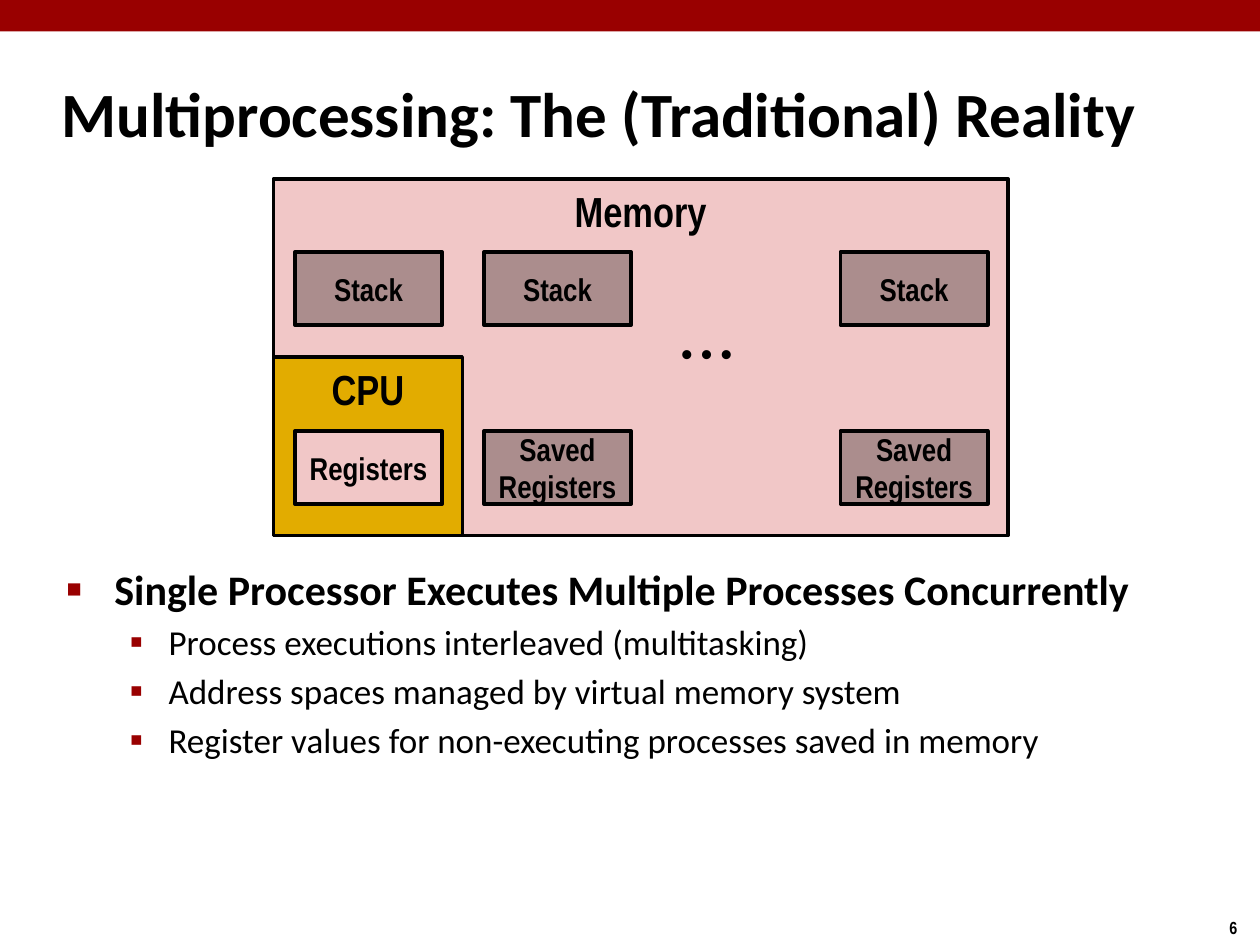
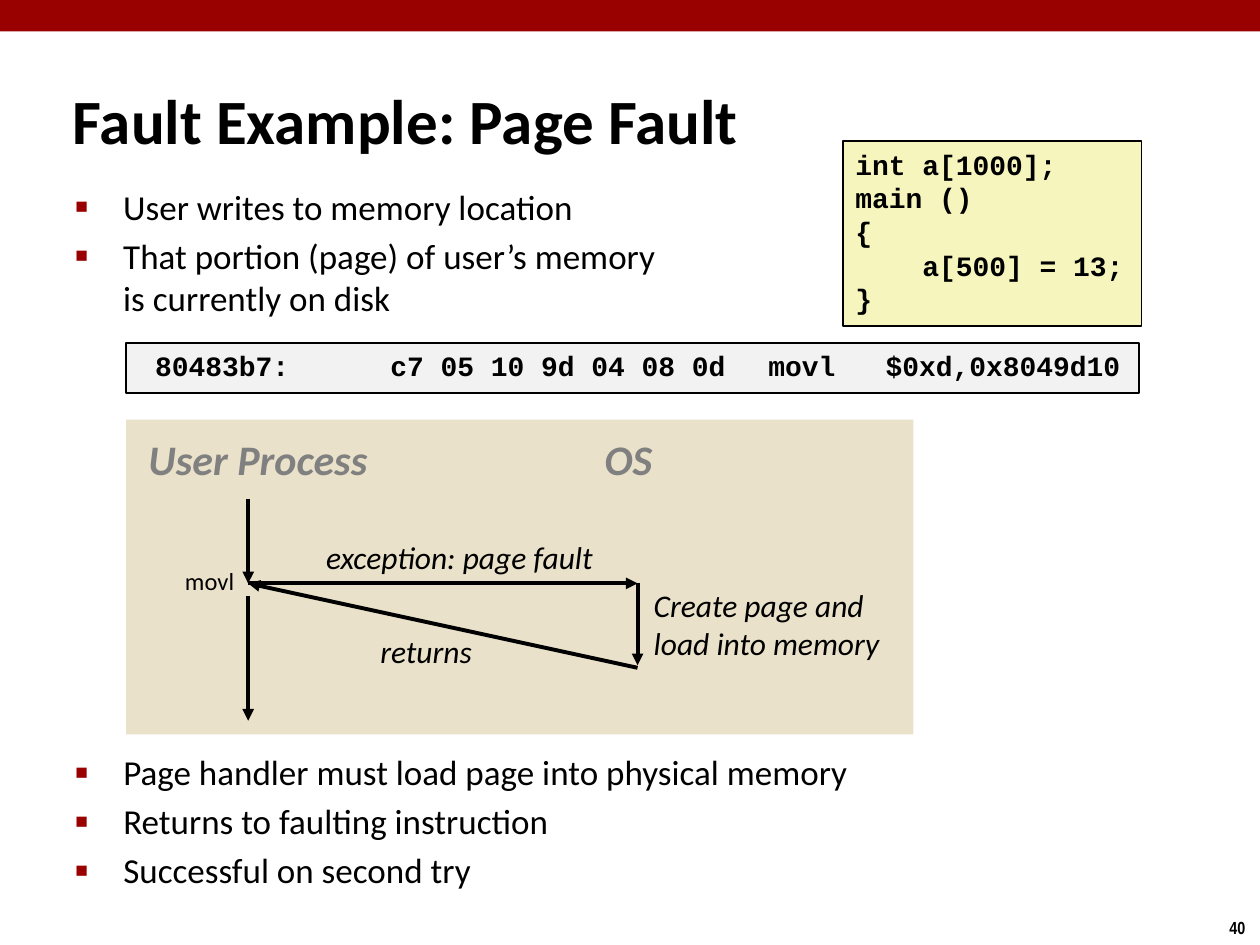
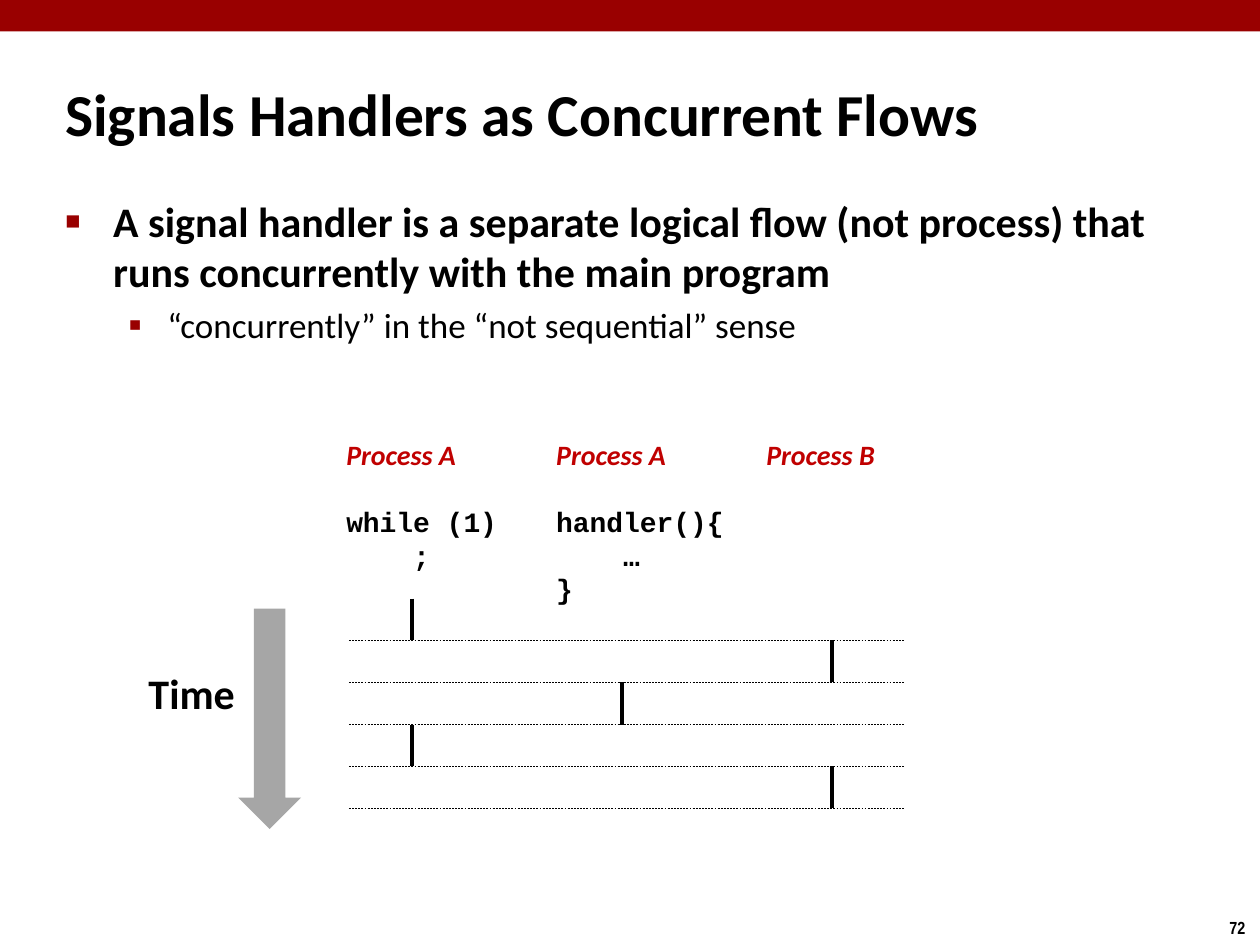
from dataclasses import dataclass

from lxml import etree
from pptx import Presentation
from pptx.dml.color import RGBColor
from pptx.enum.dml import MSO_LINE
from pptx.enum.shapes import MSO_CONNECTOR, MSO_SHAPE
from pptx.enum.text import MSO_ANCHOR, MSO_AUTO_SIZE, PP_ALIGN
from pptx.oxml.ns import qn
from pptx.util import Inches, Pt

RECTANGLE = MSO_SHAPE.RECTANGLE
DOWN_ARROW = MSO_SHAPE.DOWN_ARROW
STRAIGHT = MSO_CONNECTOR.STRAIGHT
DASH = MSO_LINE.DASH
TOP, MIDDLE = MSO_ANCHOR.TOP, MSO_ANCHOR.MIDDLE
LEFT, CENTER = PP_ALIGN.LEFT, PP_ALIGN.CENTER
FIT_TEXT = MSO_AUTO_SIZE.SHAPE_TO_FIT_TEXT


@dataclass(frozen=True)
class Style:
    size: float
    font: str = "Calibri"
    color: str = "000000"
    bold: bool = False
    italic: bool = False


@dataclass(frozen=True)
class Theme:
    band: str = "990000"
    ink: str = "000000"
    memory: str = "F1C7C7"
    saved: str = "AB8D8D"
    cpu: str = "E2AC00"
    source_code: str = "F6F5BD"
    machine_code: str = "F2F2F2"
    panel: str = "E9E1C9"
    time_arrow: str = "A6A6A6"
    title: Style = Style(36, bold=True)
    long_title: Style = Style(34, bold=True)
    number: Style = Style(10, "Arial Narrow", bold=True)
    point: Style = Style(24, bold=True)
    detail: Style = Style(20)
    region: Style = Style(24, "Arial Narrow", bold=True)
    cell: Style = Style(18, "Arial Narrow", bold=True)
    dots: Style = Style(18, "Arial", bold=True)
    code: Style = Style(16, "Courier New", bold=True)
    lane: Style = Style(24, color="808080", bold=True, italic=True)
    event: Style = Style(18, italic=True)
    instruction: Style = Style(14)
    process: Style = Style(16, color="C00000", bold=True, italic=True)


@dataclass(frozen=True)
class Box:
    left: float
    top: float
    width: float
    height: float

    def inside(self, left, top, width, height):
        return Box(self.left + left, self.top + top, width, height)

    def point(self, across, down):
        return self.left + across, self.top + down

    def lengths(self):
        return [Inches(n) for n in (self.left, self.top, self.width, self.height)]


THEME = Theme()
BULLETS = (("■", 60, 0.38, 0.38), ("▪", 110, 0.81, 0.31))


def color(value):
    return RGBColor.from_string(value)


def add_span(para, text, style):
    span = para.add_run()
    span.text = text
    font = span.font
    font.size = Pt(style.size)
    font.name = style.font
    font.bold = style.bold
    font.italic = style.italic
    font.color.rgb = color(style.color)


def write(frame, lines, align=LEFT, anchor=TOP, wrap=True, fit=False):
    frame.word_wrap = wrap
    frame.vertical_anchor = anchor
    if fit:
        frame.auto_size = FIT_TEXT
    paras = []
    for index, (text, style) in enumerate(lines):
        para = frame.add_paragraph() if index else frame.paragraphs[0]
        para.alignment = align
        for part, piece in enumerate(text.split("\n")):
            if part:
                para.add_line_break()
            add_span(para, piece, style)
        paras.append(para)
    return paras


def add_text(page, box, lines, **options):
    frame = page.shapes.add_textbox(*box.lengths()).text_frame
    return write(frame, lines, **options)


def add_label(page, box, text, style):
    return add_text(page, box, [(text, style)], wrap=False, fit=True)


def add_block(page, box, fill, line_width=0, kind=RECTANGLE):
    block = page.shapes.add_shape(kind, *box.lengths())
    block.shadow.inherit = False
    block.fill.solid()
    block.fill.fore_color.rgb = color(fill)
    if line_width:
        block.line.color.rgb = color(THEME.ink)
        block.line.width = Pt(line_width)
    else:
        block.line.fill.background()
    return block


def add_line(page, start, end, width, arrow=False, dash=None):
    ends = [Inches(n) for n in (*start, *end)]
    connector = page.shapes.add_connector(STRAIGHT, *ends)
    connector.line.color.rgb = color(THEME.ink)
    connector.line.width = Pt(width)
    if dash:
        connector.line.dash_style = dash
    properties = connector._element.spPr
    if arrow:
        outline = properties.find(qn("a:ln"))
        etree.SubElement(outline, qn("a:tailEnd"), type="triangle")
    etree.SubElement(properties, qn("a:effectLst"))


def add_bullet(para, level):
    mark, percent, margin, hanging = BULLETS[level]
    para.level = level
    properties = para._p.get_or_add_pPr()
    properties.set("marL", str(Inches(margin)))
    properties.set("indent", str(-Inches(hanging)))
    tint = etree.SubElement(properties, qn("a:buClr"))
    etree.SubElement(tint, qn("a:srgbClr"), val=THEME.band)
    etree.SubElement(properties, qn("a:buSzPct"), val=str(percent * 1000))
    etree.SubElement(properties, qn("a:buFont"), typeface="Arial")
    etree.SubElement(properties, qn("a:buChar"), char=mark)


def add_bullets(page, box, items):
    lines = [(text, style) for _, text, style in items]
    paras = add_text(page, box, lines)
    for index, (para, (level, _, style)) in enumerate(zip(paras, items)):
        add_bullet(para, level)
        if index:
            para.space_before = Pt(0.2 * style.size)


def add_page(deck, number, title, title_box, title_style=THEME.title):
    page = deck.slides.add_slide(deck.slide_layouts[6])
    add_block(page, Box(0, 0, 10, 0.25), THEME.band)
    add_label(page, Box(9.66, 7.23, 0.34, 0.27), number, THEME.number)
    add_text(page, title_box, [(title, title_style)], anchor=MIDDLE)
    return page


def draw_memory(page, box):
    def region(place, text, fill, style, anchor):
        block = add_block(page, place, fill, 2)
        write(block.text_frame, [(text, style)], CENTER, anchor)

    region(box, "Memory", THEME.memory, THEME.region, TOP)
    half = box.height / 2
    region(box.inside(0, half, 1.5, half), "CPU", THEME.cpu, THEME.region, TOP)
    columns = (
        (0.17, "Registers", THEME.memory),
        (1.67, "Saved Registers", THEME.saved),
        (4.5, "Saved Registers", THEME.saved),
    )
    for left, registers, fill in columns:
        region(box.inside(left, 0.58, 1.17, 0.58), "Stack", THEME.saved, THEME.cell, MIDDLE)
        region(box.inside(left, 2, 1.17, 0.58), registers, fill, THEME.cell, MIDDLE)
    add_label(page, box.inside(3.14, 1.18, 1.05, 0.4), "• • •", THEME.dots)


def draw_source_code(page, box):
    block = add_block(page, box, THEME.source_code, 1)
    code = ("int a[1000];", "main ()", "{", "    a[500] = 13;", "}")
    write(block.text_frame, [(line, THEME.code) for line in code], wrap=False, fit=True)


def draw_machine_code(page, box):
    block = add_block(page, box, THEME.machine_code, 1)
    code = " 80483b7:\tc7 05 10 9d 04 08 0d \tmovl   $0xd,0x8049d10"
    para = write(block.text_frame, [(code, THEME.code)], wrap=False, fit=True)[0]
    tabs = etree.SubElement(para._p.get_or_add_pPr(), qn("a:tabLst"))
    for stop in (2, 5):
        etree.SubElement(tabs, qn("a:tab"), pos=str(Inches(stop)), algn="l")


def draw_fault_flow(page, box):
    add_block(page, box, THEME.panel)
    labels = (
        (0.08, 0.06, 1.97, 0.5, "User Process", THEME.lane),
        (3.7, 0.06, 0.59, 0.5, "OS", THEME.lane),
        (1.49, 0.89, 2.34, 0.4, "exception: page fault", THEME.event),
        (1.92, 1.64, 0.93, 0.4, "returns", THEME.event),
        (0.37, 1.11, 0.6, 0.34, "movl", THEME.instruction),
    )
    for left, top, width, height, text, style in labels:
        add_label(page, box.inside(left, top, width, height), text, style)
    handler = ("Create page and", "load into memory")
    add_text(page, box.inside(4.09, 1.27, 2.16, 0.7), [(line, THEME.event) for line in handler])
    user, system, fault = 0.97, 4.06, 1.3
    arrows = (
        ((user, 0.63), (user, fault)),
        ((user, fault), (system, fault)),
        ((system, fault), (system, 1.95)),
        ((system, 1.97), (user, fault)),
        ((user, 1.4), (user, 2.39)),
    )
    for start, end in arrows:
        add_line(page, box.point(*start), box.point(*end), 2.25, arrow=True)


def draw_timeline(page, box):
    columns = (
        (1.4, "Process A", ("while (1)", "    ;")),
        (1.54, "Process A", ("handler(){", "    …", "}")),
        (1.08, "Process B", ()),
    )
    pitch, step, first_tick = box.width / len(columns), 1 / 3, 1.33
    for index, (width, process, code) in enumerate(columns):
        lines = [(process, THEME.process)] + [(line, THEME.code) for line in code]
        height = 0.37 + 0.27 * (len(code) + bool(code))
        place = box.inside(index * pitch, 0, width, height)
        paras = add_text(page, place, lines, wrap=False, fit=True)
        if code:
            paras[1].space_before = Pt(19.5)
    for row, running in enumerate((0, 2, 1, 0, 2)):
        across = 0.62 + running * pitch
        start, end = first_tick + row * step, first_tick + (row + 1) * step
        add_line(page, box.point(across, start), box.point(across, end), 2)
        add_line(page, box.point(0.12, end), box.point(4.53, end), 0.25, dash=DASH)


def draw_time_arrow(page, box):
    add_label(page, box.inside(0, 0.42, 0.89, 0.5), "Time", THEME.point)
    add_block(page, box.inside(0.81, 0, 0.5, box.height), THEME.time_arrow, kind=DOWN_ARROW)


def build_multiprocessing(deck):
    title = "Multiprocessing: The (Traditional) Reality"
    page = add_page(deck, "6", title, Box(0.39, 0.48, 9.28, 0.83))
    draw_memory(page, Box(2.17, 1.42, 5.83, 2.83))
    add_bullets(page, Box(0.43, 4.42, 8.64, 2.51), [
        (0, "Single Processor Executes Multiple Processes Concurrently", THEME.point),
        (1, "Process executions interleaved (multitasking)", THEME.detail),
        (1, "Address spaces managed by virtual memory system", THEME.detail),
        (1, "Register values for non-executing processes saved in memory", THEME.detail),
    ])


def build_page_fault(deck):
    page = add_page(deck, "40", "Fault Example: Page Fault", Box(0.48, 0.64, 8.63, 0.61))
    add_bullets(page, Box(0.5, 1.42, 6, 1.2), [
        (0, "User writes to memory location", THEME.detail),
        (0, "That portion (page) of user’s memory\nis currently on disk", THEME.detail),
    ])
    draw_source_code(page, Box(6.69, 1.12, 2.37, 1.47))
    draw_machine_code(page, Box(1, 2.72, 8.04, 0.4))
    draw_fault_flow(page, Box(1, 3.33, 6.25, 2.5))
    add_bullets(page, Box(0.5, 5.91, 8.92, 1.25), [
        (0, "Page handler must load page into physical memory", THEME.detail),
        (0, "Returns to faulting instruction", THEME.detail),
        (0, "Successful on second try", THEME.detail),
    ])


def build_signal_handlers(deck):
    title = "Signals Handlers as Concurrent Flows"
    page = add_page(deck, "72", title, Box(0.42, 0.48, 8.3, 0.83), THEME.long_title)
    flow = (
        "A signal handler is a separate logical flow (not process) that "
        "runs concurrently with the main program"
    )
    add_bullets(page, Box(0.42, 1.5, 9.09, 1.42), [
        (0, flow, THEME.point),
        (1, "“concurrently” in the “not sequential” sense", THEME.detail),
    ])
    draw_timeline(page, Box(2.65, 3.42, 5, 3))
    draw_time_arrow(page, Box(1.08, 4.83, 1.31, 1.75))


def main():
    deck = Presentation()
    deck.slide_width = Inches(10)
    deck.slide_height = Inches(7.5)
    build_multiprocessing(deck)
    build_page_fault(deck)
    build_signal_handlers(deck)
    deck.save("out.pptx")


if __name__ == "__main__":
    main()
